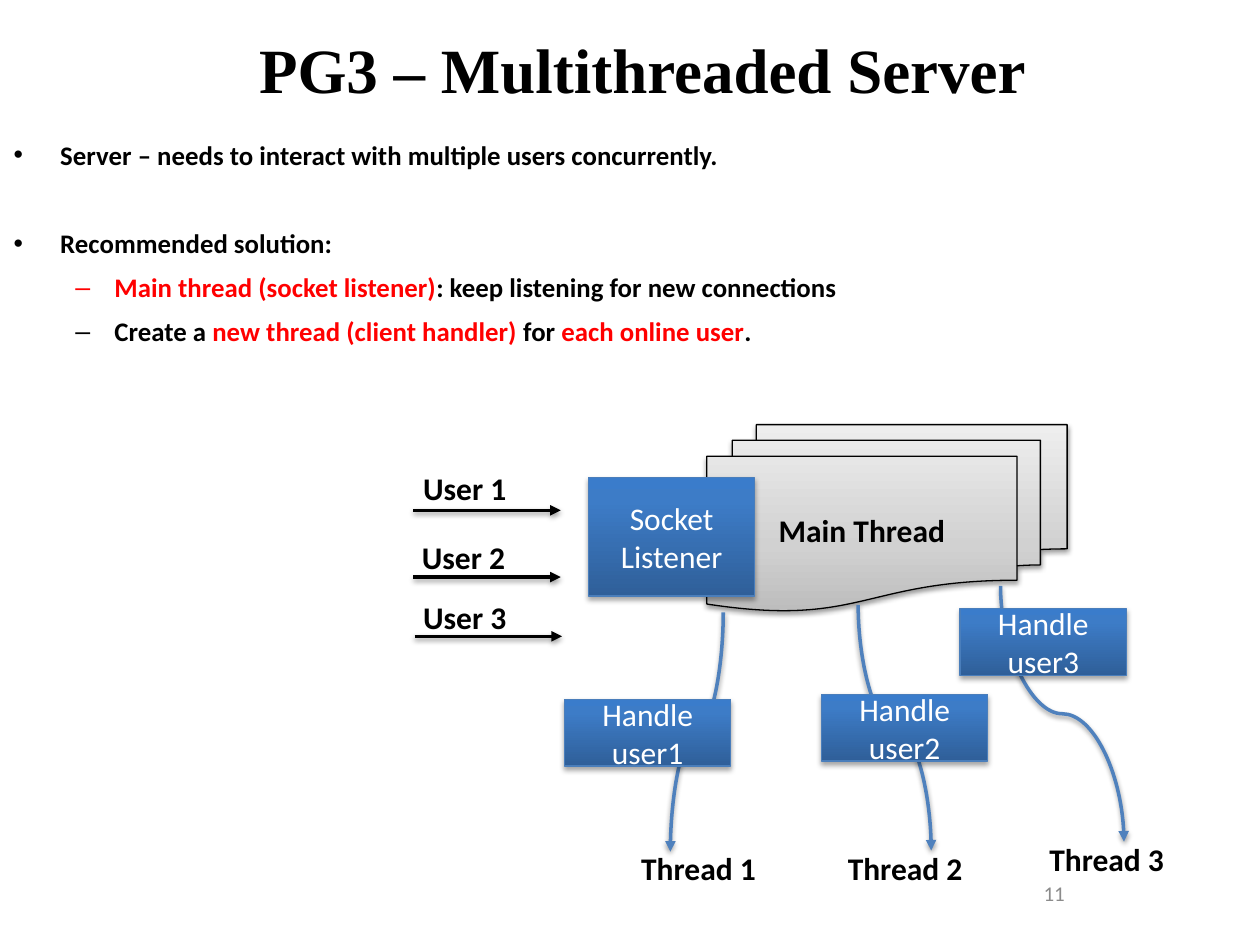
from dataclasses import dataclass

from lxml.etree import SubElement
from pptx import Presentation
from pptx.dml.color import RGBColor
from pptx.enum.shapes import MSO_CONNECTOR as CONN, MSO_SHAPE as SHAPE
from pptx.enum.text import MSO_ANCHOR as ANCHOR, MSO_AUTO_SIZE as FIT, PP_ALIGN as ALIGN
from pptx.oxml.ns import qn
from pptx.util import Inches, Pt

CELL = 0.1  # grid of 100 columns by 75 rows
BLACK, WHITE, RED, GREY = "000000", "FFFFFF", "FF0000", "8B8B8B"
BLUE, EDGE = "4F81BD", "4A7EBB"
BLUE_STOPS = [(0, "2F5F99"), (80, "3D7CC7"), (100, "3A7CCB")]
GREY_STOPS = [(0, "BDBDBD"), (35, "D1D1D1"), (100, "EEEEEE")]


@dataclass
class User:
    name: str
    label: tuple[float, float]
    arrow: tuple[float, float]


@dataclass
class Thread:
    name: str
    label: tuple[float, float]
    start: tuple[float, float]
    end: tuple[float, float]
    handler: str
    box: tuple[float, float]


@dataclass
class Bullet:
    runs: list[tuple[str, str]]
    level: int = 0
    before: float = 6.8


USERS = [
    User("User 1", (32.6, 36.7), (32.8, 40.5)),
    User("User 2", (32.5, 42.2), (32.8, 45.8)),
    User("User 3", (32.6, 47), (32.9, 50.5)),
]
THREADS = [
    Thread("Thread 1", (49.9, 66.9), (57.4, 48.6), (53.2, 67.6), "Handle user1", (44.8, 55.5)),
    Thread("Thread 2", (66.3, 66.9), (68.1, 48), (73.9, 67.5), "Handle user2", (65.2, 55.1)),
    Thread("Thread 3", (82.3, 66.2), (79.4, 46.5), (89.2, 66.8), "Handle user3", (76.2, 48.3)),
]
BULLETS = [
    Bullet([("Server – needs to interact with multiple users concurrently.", BLACK)]),
    Bullet([("Recommended solution:", BLACK)], before=32),
    Bullet([("Main thread (socket listener)", RED),
            (": keep listening for new connections", BLACK)], 1),
    Bullet([("Create a ", BLACK), ("new thread (client handler) ", RED), ("for ", BLACK),
            ("each online user", RED), (".", BLACK)], 1),
]


def grid(*cells: float) -> list[int]:
    return [Inches(c * CELL) for c in cells]


def rgb(hex_: str) -> RGBColor:
    return RGBColor.from_string(hex_)


def add_run(p, text: str, size: float, color: str = BLACK, bold: bool = True,
            font: str = "Calibri") -> None:
    r = p.add_run()
    r.text = text
    for name, value in {"size": Pt(size), "bold": bold, "name": font}.items():
        setattr(r.font, name, value)
    r.font.color.rgb = rgb(color)


def add_text(slide, text: str, box: tuple, size: float = 18, color: str = BLACK,
             bold: bool = True, align=ALIGN.LEFT, wrap: bool = False) -> None:
    tf = slide.shapes.add_textbox(*grid(*box)).text_frame
    tf.word_wrap = wrap
    tf.vertical_anchor = ANCHOR.MIDDLE
    tf.paragraphs[0].alignment = align
    add_run(tf.paragraphs[0], text, size, color, bold)


def add_shadow(s, alpha: int = 38, distance: float = 1.6) -> None:
    """Call after fill and line are set, so the effect list comes last."""
    effects = SubElement(s._element.spPr, qn("a:effectLst"))
    shadow = SubElement(effects, qn("a:outerShdw"), blurRad=str(Pt(3.1)),
                        dist=str(Pt(distance)), dir="5400000", rotWithShape="0")
    color = SubElement(shadow, qn("a:srgbClr"), val=BLACK)
    SubElement(color, qn("a:alpha"), val=str(alpha * 1000))


def add_block(slide, kind, text: str, box: tuple, stops: list, line: str,
              color: str, bold: bool = False, shadow: tuple = (35, 1.8)) -> None:
    s = slide.shapes.add_shape(kind, *grid(*box))
    s.fill.gradient()
    s.fill.gradient_angle = 90
    gs_list = s._element.spPr.find(".//" + qn("a:gsLst"))
    for gs in list(gs_list):
        gs_list.remove(gs)
    for pos, stop in stops:
        gs = SubElement(gs_list, qn("a:gs"), pos=str(pos * 1000))
        SubElement(gs, qn("a:srgbClr"), val=stop)
    s.line.color.rgb = rgb(line)
    s.line.width = Pt(0.75)
    add_shadow(s, *shadow)
    tf = s.text_frame
    tf.word_wrap = True
    tf.vertical_anchor = ANCHOR.MIDDLE
    tf.paragraphs[0].alignment = ALIGN.CENTER
    add_run(tf.paragraphs[0], text, 18, color, bold)


def add_arrow(slide, kind, start: tuple, end: tuple, color: str):
    c = slide.shapes.add_connector(kind, *grid(*start, *end))
    c.line.color.rgb = rgb(color)
    c.line.width = Pt(2)
    SubElement(c.line._get_or_add_ln(), qn("a:tailEnd"), type="triangle")
    add_shadow(c)
    return c


def add_falling_curve(slide, start: tuple, end: tuple) -> None:
    """Curve that leaves and arrives vertically: a horizontal one, turned a quarter."""
    (x1, y1), (x2, y2) = start, end
    cx, cy = (x1 + x2) / 2, (y1 + y2) / 2
    half_w, half_h = (y2 - y1) / 2, abs(x2 - x1) / 2
    side = 1 if x2 > x1 else -1
    c = add_arrow(slide, CONN.CURVE, (cx + side * half_w, cy - half_h),
                  (cx - side * half_w, cy + half_h), BLUE)
    quarter_turns = 3 if side > 0 else 1
    c._element.spPr.find(qn("a:xfrm")).set("rot", str(quarter_turns * 5400000))


def add_bullets(slide, bullets: list[Bullet], box: tuple) -> None:
    tf = slide.shapes.add_textbox(*grid(*box)).text_frame
    tf.word_wrap = True
    for i, bullet in enumerate(bullets):
        p = tf.add_paragraph() if i else tf.paragraphs[0]
        p.level = bullet.level
        p.space_before = Pt(bullet.before)
        left, hang, char = [(0.38, 0.37, "•"), (0.81, 0.31, "–")][bullet.level]
        pPr = p._p.get_or_add_pPr()
        pPr.set("marL", str(Inches(left)))
        pPr.set("indent", str(-Inches(hang)))
        color = SubElement(pPr, qn("a:buClr"))
        SubElement(color, qn("a:srgbClr"), val=bullet.runs[0][1])
        SubElement(pPr, qn("a:buFont"), typeface="Arial")
        SubElement(pPr, qn("a:buChar"), char=char)
        for text, run_color in bullet.runs:
            add_run(p, text, 15.3, run_color)


def add_title(slide, text: str, box: tuple) -> None:
    s = slide.shapes.title
    for name, value in zip(("left", "top", "width", "height"), grid(*box)):
        setattr(s, name, value)
    tf = s.text_frame
    tf.auto_size = FIT.NONE
    tf.vertical_anchor = ANCHOR.MIDDLE
    tf.paragraphs[0].alignment = ALIGN.CENTER
    add_run(tf.paragraphs[0], text, 36, font="Times New Roman")


def main() -> None:
    prs = Presentation()
    prs.slide_width, prs.slide_height = grid(100, 75)
    slide = prs.slides.add_slide(prs.slide_layouts[5])
    add_title(slide, "PG3 – Multithreaded Server", (1.7, 1.9, 98.6, 7))
    add_bullets(slide, BULLETS, (0, 10.5, 86.4, 20))
    add_text(slide, "11", (62.2, 68.9, 23.3, 4), 12, GREY, False, ALIGN.RIGHT, True)
    add_block(slide, SHAPE.FLOWCHART_MULTIDOCUMENT, "Main Thread", (56.1, 33.7, 28.6, 14.8),
              GREY_STOPS, BLACK, BLACK, True, (38, 1.6))
    for user in USERS:
        x, y = user.arrow
        add_arrow(slide, CONN.STRAIGHT, (x, y), (x + 11.7, y), BLACK)
        add_text(slide, user.name, (*user.label, 8.6, 4))
    for thread in THREADS:
        add_falling_curve(slide, thread.start, thread.end)
        add_block(slide, SHAPE.RECTANGLE, thread.handler, (*thread.box, 13.2, 5.3),
                  BLUE_STOPS, EDGE, WHITE)
        add_text(slide, thread.name, (*thread.label, 11.1, 4))
    add_block(slide, SHAPE.RECTANGLE, "Socket Listener", (46.7, 37.9, 13.2, 9.4),
              BLUE_STOPS, EDGE, WHITE)
    prs.save("out.pptx")


if __name__ == "__main__":
    main()
